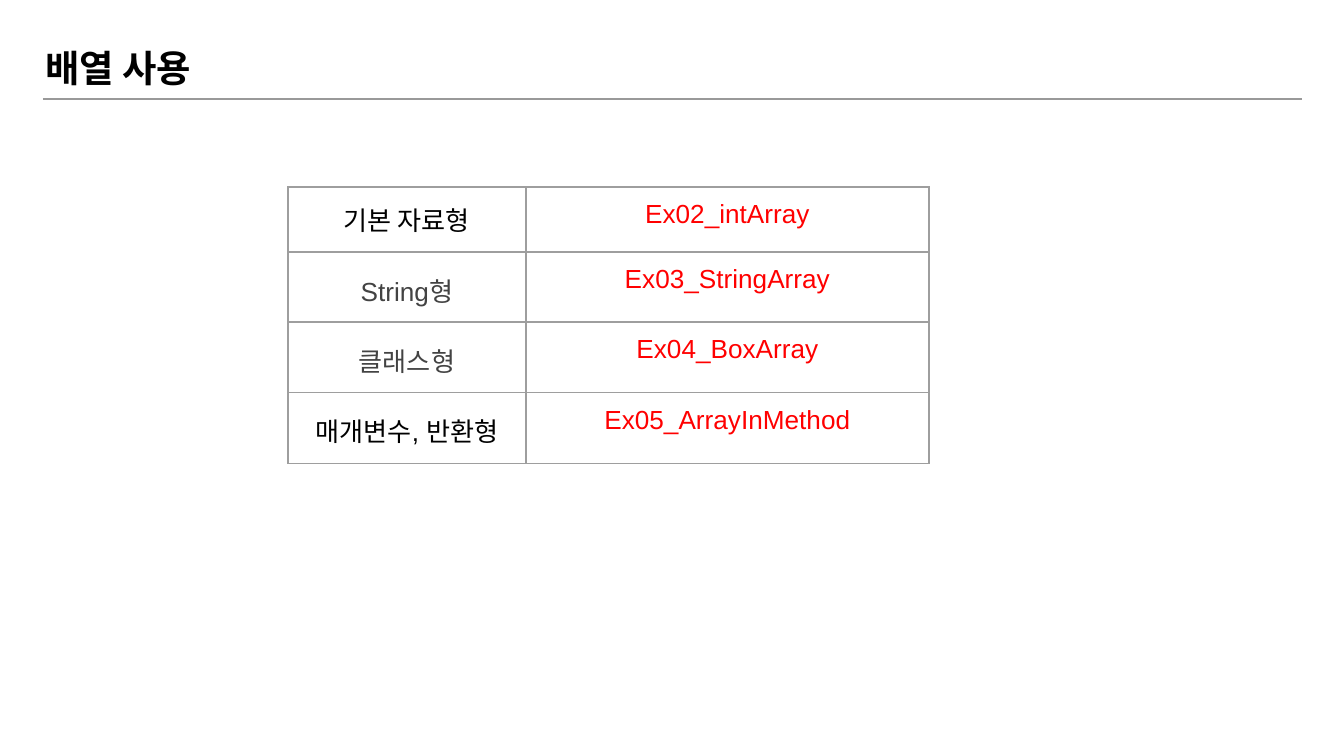
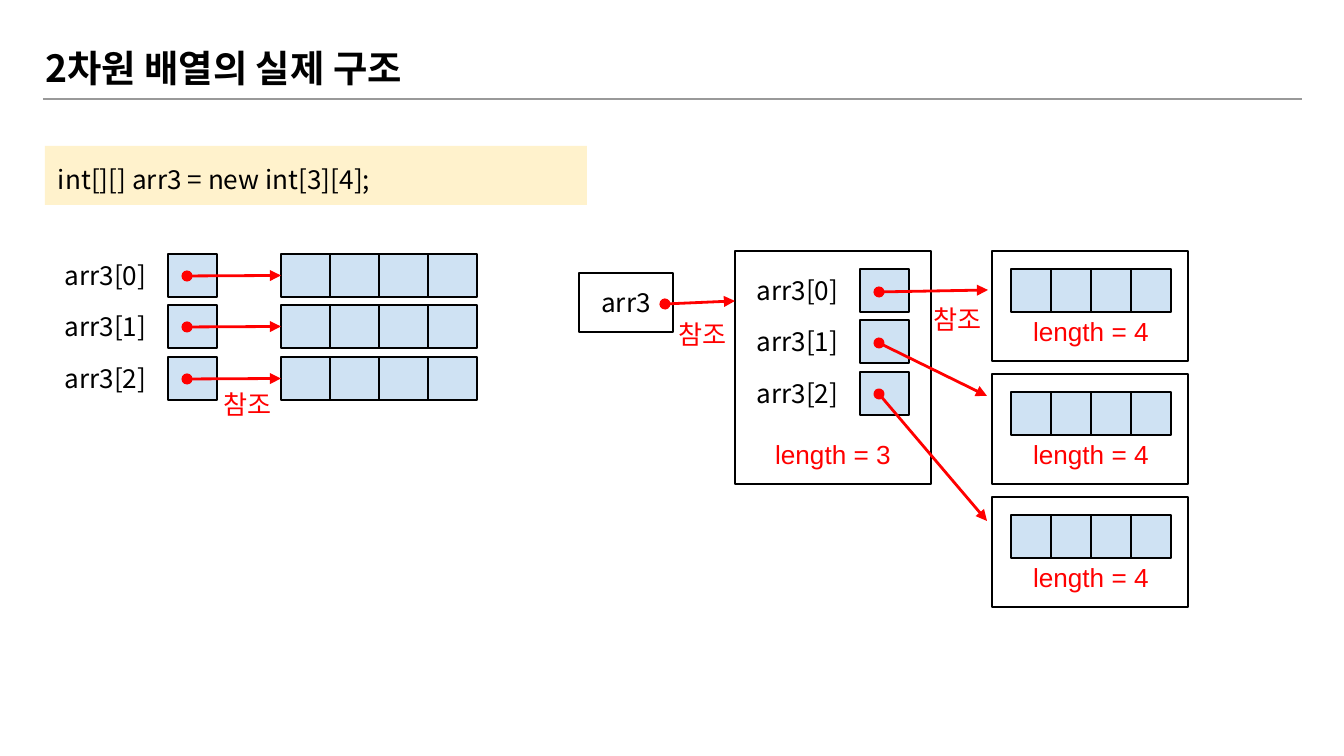
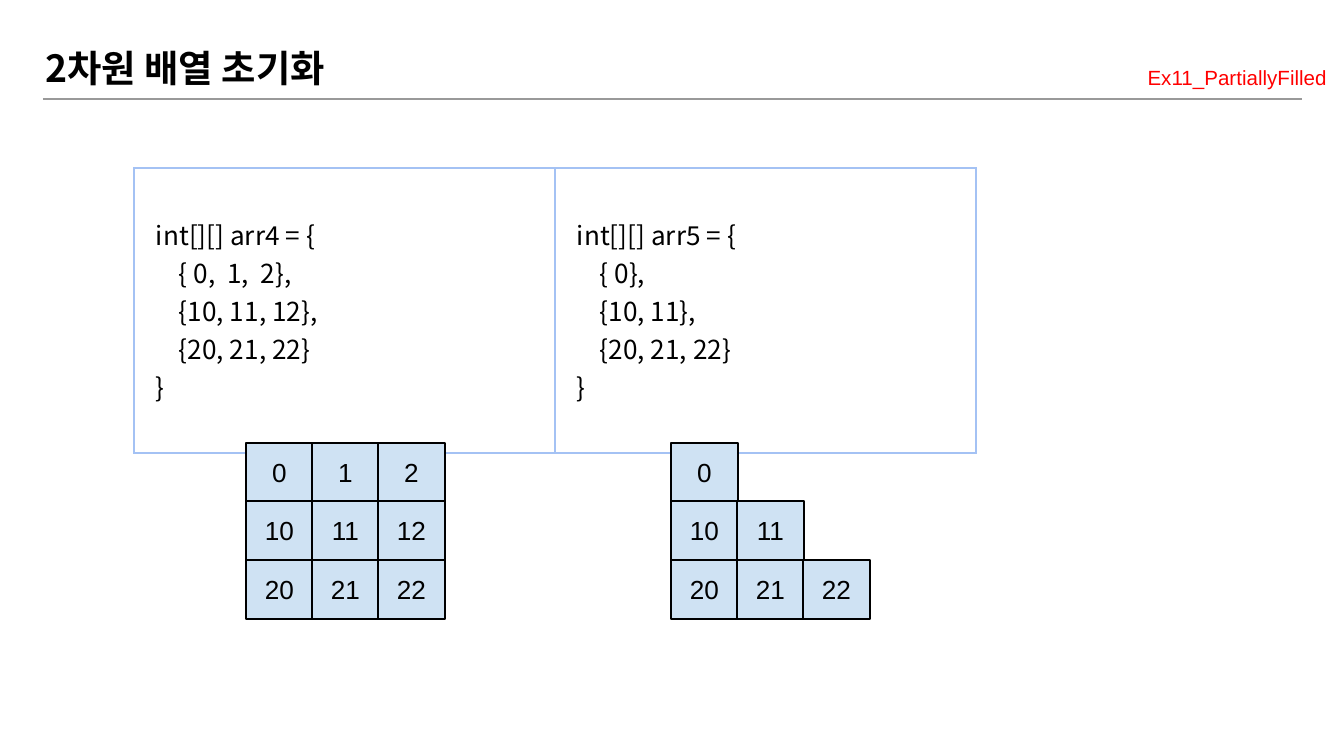
from lxml import etree
from pptx import Presentation
from pptx.dml.color import RGBColor
from pptx.enum.shapes import MSO_CONNECTOR, MSO_SHAPE
from pptx.enum.text import MSO_ANCHOR, MSO_AUTO_SIZE, PP_ALIGN
from pptx.oxml.ns import qn
from pptx.util import Emu, Pt

SCALE = 914400 / 134.4
STRAIGHT = MSO_CONNECTOR.STRAIGHT
RECTANGLE = MSO_SHAPE.RECTANGLE
TOP, MIDDLE = MSO_ANCHOR.TOP, MSO_ANCHOR.MIDDLE
GROW, FIXED = MSO_AUTO_SIZE.SHAPE_TO_FIT_TEXT, MSO_AUTO_SIZE.NONE
LEFT, CENTER, RIGHT = PP_ALIGN.LEFT, PP_ALIGN.CENTER, PP_ALIGN.RIGHT
LEFT_SIDE = 1
TITLE_ONLY = 5

SANS, KOREAN = "Arial", "Noto Sans CJK KR"
COLORS = {
    "black": "000000", "red": "FF0000", "gray": "434343", "rule": "999999",
    "grid": "9E9E9E", "code_grid": "A4C2F4", "cell": "CFE2F3",
    "code": "FFF2CC",
}
INSET = 13

USAGE_TITLE = "배열 사용"
USAGE_ROWS = [
    ("기본 자료형", "black", "Ex02_intArray"),
    ("String형", "gray", "Ex03_StringArray"),
    ("클래스형", "gray", "Ex04_BoxArray"),
    ("매개변수, 반환형", "black", "Ex05_ArrayInMethod"),
]
USAGE_HEIGHTS = [65, 70, 71, 71]

STRUCTURE_TITLE = "2차원 배열의 실제 구조"
DECLARATION = "int[][] arr3 = new int[3][4];"
ROW_NAMES = ["arr3[0]", "arr3[1]", "arr3[2]"]
ROW_SPAN = 155
COLUMN_COUNT = 4
REFERENCE = "참조"
REFERENCE_BOXES = [(197, 375, 101, 59), (656, 305, 94, 59), (911, 290, 94, 59)]
REFERENCE_ENDS = [(988, 290), (987, 396), (987, 521)]

INITIAL_TITLE = "2차원 배열 초기화"
EXAMPLE_NAME = "Ex11_PartiallyFilled"
CODE_BLOCKS = [
    ["int[][] arr4 = {", "{ 0,  1,  2},", "{10, 11, 12},", "{20, 21, 22}", "}"],
    ["int[][] arr5 = {", "{ 0},", "{10, 11},", "{20, 21, 22}", "}"],
]
GRID_SPAN = 176
GRIDS = [
    (246, [[0, 1, 2], [10, 11, 12], [20, 21, 22]]),
    (671, [[0], [10, 11], [20, 21, 22]]),
]


def px(value):
    return Emu(round(value * SCALE))


def place(*lengths):
    return [px(length) for length in lengths]


def rgb(name):
    return RGBColor.from_string(COLORS[name])


def write(paragraph, text, font=SANS, color="black", size=14, bold=False,
          align=CENTER, spacing=None, east_asian_font=None):
    paragraph.alignment = align
    if spacing:
        paragraph.line_spacing = spacing
    run = paragraph.add_run()
    run.text = text
    run.font.name = font
    run.font.size = Pt(size)
    run.font.bold = bold
    run.font.color.rgb = rgb(color)
    east_asian = etree.SubElement(run.font._element, qn("a:ea"))
    east_asian.set("typeface", east_asian_font or font)


def prepare_frame(frame, anchor=TOP, auto_size=FIXED):
    frame.word_wrap = True
    frame.auto_size = auto_size
    frame.vertical_anchor = anchor
    frame.margin_left = frame.margin_right = px(INSET)
    frame.margin_top = frame.margin_bottom = px(INSET)
    return frame.paragraphs[0]


def add_label(slide, box, text, **style):
    shape = slide.shapes.add_textbox(*place(*box))
    write(prepare_frame(shape.text_frame, auto_size=GROW), text, **style)


def add_box(shapes, box, fill=None, line="black", width=0.75):
    shape = shapes.add_shape(RECTANGLE, *place(*box))
    shape.shadow.inherit = False
    if fill:
        shape.fill.solid()
        shape.fill.fore_color.rgb = rgb(fill)
    else:
        shape.fill.background()
    if line:
        shape.line.color.rgb = rgb(line)
        shape.line.width = Pt(width)
    else:
        shape.line.fill.background()
    return shape


def add_line(slide, start, end, color, width):
    connector = slide.shapes.add_connector(STRAIGHT, *place(*start, *end))
    connector.line.color.rgb = rgb(color)
    connector.line.width = Pt(width)
    etree.SubElement(connector._element.spPr, qn("a:effectLst"))
    return connector


def add_arrow(slide, start, end):
    connector = add_line(slide, start, end, "red", 1.5)
    line = connector.line._get_or_add_ln()
    for tag, kind in (("a:headEnd", "oval"), ("a:tailEnd", "triangle")):
        etree.SubElement(line, qn(tag)).set("type", kind)
    return connector


def add_strip(slide, left, top, width):
    group = slide.shapes.add_group_shape()
    return [add_box(group.shapes, (left + column * width, top, width, 43), "cell")
            for column in range(COLUMN_COUNT)]


def add_titled_slide(presentation, text):
    slide = presentation.slides.add_slide(presentation.slide_layouts[TITLE_ONLY])
    title = slide.shapes.title
    title.left, title.top, title.width, title.height = place(32, 32, 1105, 73)
    write(prepare_frame(title.text_frame), text, font=KOREAN, size=20,
          bold=True, align=LEFT)
    add_line(slide, (43, 99), (1302, 99), "rule", 0.75)
    return slide


def add_grid_table(slide, left, top, widths, heights):
    frame = slide.shapes.add_table(len(heights), len(widths),
                                   *place(left, top, sum(widths), sum(heights)))
    table = frame.table
    table.first_row = table.horz_banding = False
    for column, width in zip(table.columns, widths):
        column.width = px(width)
    for row, height in zip(table.rows, heights):
        row.height = px(height)
    return table


def format_cell(cell, border, width, side, top, bottom):
    cell.fill.background()
    cell.margin_left = cell.margin_right = px(side)
    cell.margin_top, cell.margin_bottom = px(top), px(bottom)
    properties = cell._tc.get_or_add_tcPr()
    for index, tag in enumerate(("a:lnL", "a:lnR", "a:lnT", "a:lnB")):
        line = etree.Element(qn(tag), w=str(Pt(width)))
        fill = etree.SubElement(line, qn("a:solidFill"))
        etree.SubElement(fill, qn("a:srgbClr")).set("val", COLORS[border])
        properties.insert(index, line)


def build_usage(presentation):
    slide = add_titled_slide(presentation, USAGE_TITLE)
    table = add_grid_table(slide, 288, 187, [238, 403], USAGE_HEIGHTS)
    for row, (kind, color, example) in enumerate(USAGE_ROWS):
        for column, (text, tint) in enumerate(((kind, color), (example, "red"))):
            cell = table.cell(row, column)
            format_cell(cell, "grid", 0.75, INSET, INSET, INSET)
            paragraph = cell.text_frame.paragraphs[0]
            write(paragraph, text, color=tint, east_asian_font=KOREAN)
            if row and not column:
                paragraph.line_spacing = 1.15
                paragraph.space_before = Pt(16)
                paragraph.space_after = Pt(4)


def row_offset(index):
    return ROW_SPAN * index // len(ROW_NAMES)


def add_row_references(slide, label_left, cell_left, top):
    for index, name in enumerate(ROW_NAMES):
        row_top = top + row_offset(index)
        add_label(slide, (label_left, row_top - 8, 125, 59), name, font=KOREAN)
        add_box(slide.shapes, (cell_left, row_top, 49, 43), "cell")


def build_structure(presentation):
    slide = add_titled_slide(presentation, STRUCTURE_TITLE)
    code = add_box(slide.shapes, (45, 146, 542, 59), "code", None)
    write(prepare_frame(code.text_frame, auto_size=GROW), DECLARATION,
          font=KOREAN, align=LEFT, spacing=1.15)

    add_row_references(slide, 43, 168, 254)
    for index in range(len(ROW_NAMES)):
        row_top = 254 + row_offset(index)
        cells = add_strip(slide, 281, row_top, 49)
        arrow = add_arrow(slide, (187, row_top + 22), (281, row_top + 21))
        arrow.end_connect(cells[0], LEFT_SIDE)

    add_box(slide.shapes, (735, 251, 196, 233), width=1.5)
    variable = add_box(slide.shapes, (579, 273, 94, 59))
    write(prepare_frame(variable.text_frame, auto_size=GROW), "arr3", font=KOREAN)
    add_row_references(slide, 735, 860, 269)
    add_label(slide, (736, 425, 194, 59), f"length = {len(ROW_NAMES)}", color="red")
    add_arrow(slide, (665, 304), (735, 301))

    for index, end in enumerate(REFERENCE_ENDS):
        panel_top = 251 + 123 * index
        add_box(slide.shapes, (992, panel_top, 196, 110), width=1.5)
        add_strip(slide, 1011, panel_top + 18, 40)
        add_label(slide, (994, panel_top + 51, 194, 59),
                  f"length = {COLUMN_COUNT}", color="red")
        add_arrow(slide, (879, 292 + 51 * index), end)
    for box in REFERENCE_BOXES:
        add_label(slide, box, REFERENCE, color="red")


def build_initial(presentation):
    slide = add_titled_slide(presentation, INITIAL_TITLE)
    table = add_grid_table(slide, 134, 168, [421, 421], [285])
    for column, lines in enumerate(CODE_BLOCKS):
        cell = table.cell(0, column)
        format_cell(cell, "code_grid", 1, 9, 47, 9)
        frame = cell.text_frame
        for index, line in enumerate(lines):
            paragraph = frame.add_paragraph() if index else frame.paragraphs[0]
            write(paragraph, line, font=KOREAN, align=LEFT)
            indent = 36 if 0 < index < len(lines) - 1 else 13
            paragraph._p.get_or_add_pPr().set("marL", str(px(indent)))

    for left, rows in GRIDS:
        for row, values in enumerate(rows):
            top = 443 + GRID_SPAN * row // len(rows)
            for column, value in enumerate(values):
                shape = add_box(slide.shapes, (left + 66 * column, top, 67, 59), "cell")
                write(prepare_frame(shape.text_frame, MIDDLE), str(value))
    add_label(slide, (899, 48, 441, 52), EXAMPLE_NAME, color="red", size=11,
              align=RIGHT, spacing=1.15)


def main():
    presentation = Presentation()
    presentation.slide_width, presentation.slide_height = place(1344, 756)
    build_usage(presentation)
    build_structure(presentation)
    build_initial(presentation)
    presentation.save("out.pptx")


if __name__ == "__main__":
    main()
